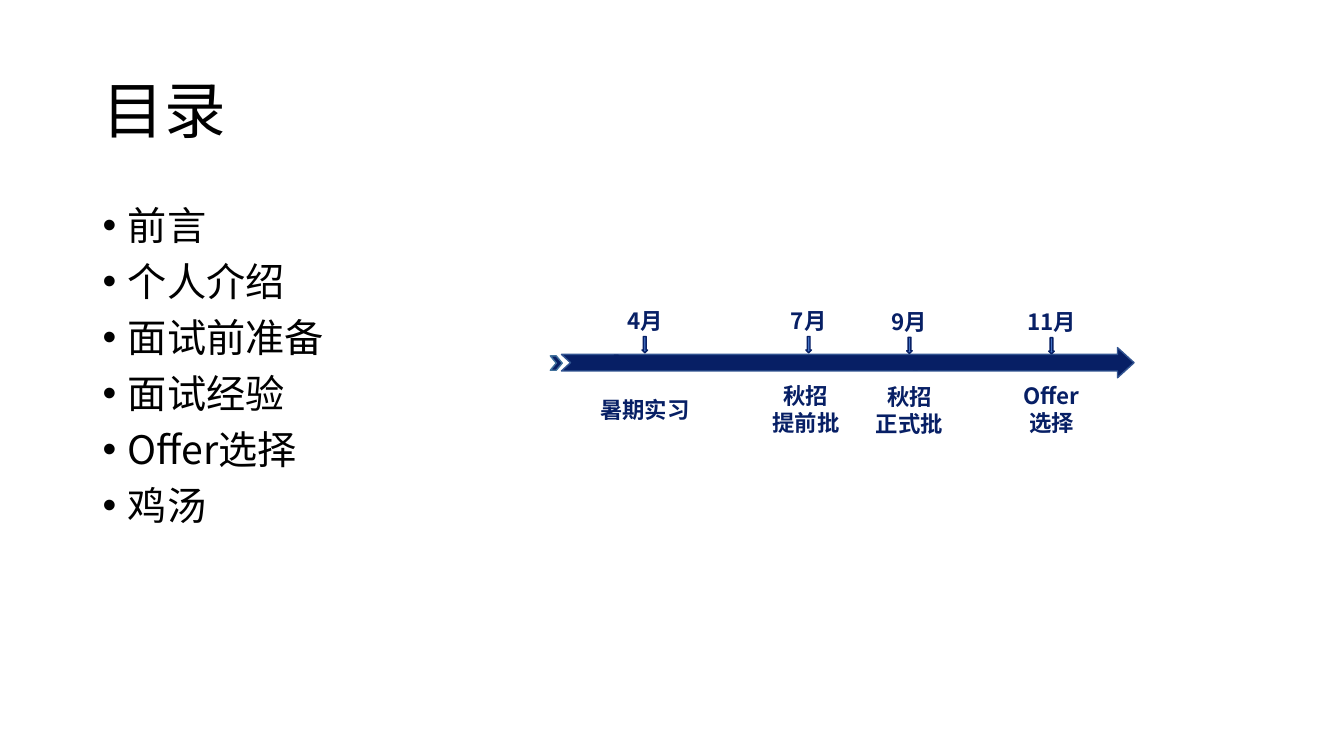
from lxml.etree import SubElement as Sub
from pptx import Presentation
from pptx.dml.color import RGBColor
from pptx.enum.shapes import MSO_SHAPE as Geo
from pptx.enum.text import MSO_ANCHOR as Anchor, MSO_AUTO_SIZE as Auto, PP_ALIGN as Align
from pptx.oxml.ns import qn
from pptx.util import Cm, Pt

TITLE = "目录"
TOPICS = ["前言", "个人介绍", "面试前准备", "面试经验", "Offer选择", "鸡汤"]
STAGES = [
    ("4月", 16.25, 7.62, ["暑期实习"], 16.25, 9.86),
    ("7月", 20.38, 7.62, ["秋招", "提前批"], 20.31, 9.5),
    ("9月", 22.92, 7.64, ["秋招", "正式批"], 22.92, 9.53),
    ("11月", 26.5, 7.65, ["Offer", "选择"], 26.5, 9.5),
]

FACE = "Noto Sans CJK SC"
BLACK = RGBColor(0, 0, 0)
NAVY = RGBColor(0x07, 0x1F, 0x65)
BLUE = RGBColor(0x44, 0x72, 0xC4)
EDGE = RGBColor(0x32, 0x54, 0x91)
RIM = RGBColor(0x41, 0x71, 0x9C)

HEAD = {"size": Pt(44), "name": FACE, "bold": False}
ITEM = {"size": Pt(28), "name": FACE, "bold": False}
LABEL = {"size": Pt(16), "name": FACE, "bold": True}
LEFT = {"alignment": Align.LEFT, "line_spacing": Pt(47)}
LIST = {"alignment": Align.LEFT, "line_spacing": Pt(30)}
MID = {"alignment": Align.CENTER, "line_spacing": Pt(19.2)}

BARS = [
    (Geo.NOTCHED_RIGHT_ARROW, 14.15, 8.76, 14.43, 0.76, EDGE, [0.55, 0.55]),
    (Geo.CHEVRON, 23.01, 8.97, 0.23, 0.36, None, []),
    (Geo.CHEVRON, 15.47, 8.94, 0.23, 0.36, None, []),
    (Geo.CHEVRON, 13.87, 8.97, 0.3, 0.36, RIM, []),
]


def apply(obj, form):
    for key, val in form.items():
        setattr(obj, key, val)


def place(shape, *box):
    apply(shape, dict(zip(("left", "top", "width", "height"), map(Cm, box))))


def write(frame, lines, font, para, color, gap=0):
    for i, line in enumerate(lines):
        p = frame.paragraphs[0] if i == 0 else frame.add_paragraph()
        apply(p, para)
        p.space_before = Pt(gap if i else 0)
        run = p.add_run()
        run.text = line
        apply(run.font, font)
        run.font.color.rgb = color
        Sub(run._r.get_or_add_rPr(), qn("a:ea")).set("typeface", FACE)


def draw(geo, x, y, w, h, fill, line, adj=()):
    shape = slide.shapes.add_shape(geo, Cm(x), Cm(y), Cm(w), Cm(h))
    shape.shadow.inherit = False
    shape.fill.solid()
    shape.fill.fore_color.rgb = fill
    if line is None:
        shape.line.fill.background()
    else:
        shape.line.color.rgb = line
        shape.line.width = Pt(1)
    for i, val in enumerate(adj):
        shape.adjustments[i] = val


def label(lines, mid, top, wide):
    high = 0.26 + 0.68 * len(lines)
    box = slide.shapes.add_textbox(Cm(mid - wide / 2), Cm(top), Cm(wide), Cm(high))
    box.text_frame.word_wrap = False
    write(box.text_frame, lines, LABEL, MID, NAVY)


deck = Presentation()
deck.slide_width, deck.slide_height = Cm(33.87), Cm(19.05)
slide = deck.slides.add_slide(deck.slide_layouts[1])

title, body = slide.placeholders
place(title, 2.33, 1.01, 29.21, 3.68)
place(body, 2.33, 5.07, 29.21, 12.09)
apply(title.text_frame, {"vertical_anchor": Anchor.MIDDLE, "auto_size": Auto.NONE})
apply(body.text_frame, {"vertical_anchor": Anchor.TOP, "auto_size": Auto.NONE})
write(title.text_frame, [TITLE], HEAD, LEFT, BLACK)
write(body.text_frame, TOPICS, ITEM, LIST, BLACK, 10)
for p in body.text_frame.paragraphs:
    props = p._p.get_or_add_pPr()
    props.set("marL", str(Cm(0.64)))
    props.set("indent", str(Cm(-0.64)))
    Sub(props, qn("a:buFont")).set("typeface", "Arial")
    Sub(props, qn("a:buChar")).set("char", "•")

for geo, x, y, w, h, line, adj in BARS:
    draw(geo, x, y, w, h, NAVY, line, adj)

for month, mid, top, lines, low, base in STAGES:
    draw(Geo.DOWN_ARROW, mid - 0.07, top + 0.86, 0.14, 0.41, BLUE, NAVY)
    label([month], mid, top, 1.95 if len(month) > 2 else 1.55)
    label(lines, low, base, 3 if len(lines) == 1 else 2.72)

deck.save("out.pptx")
